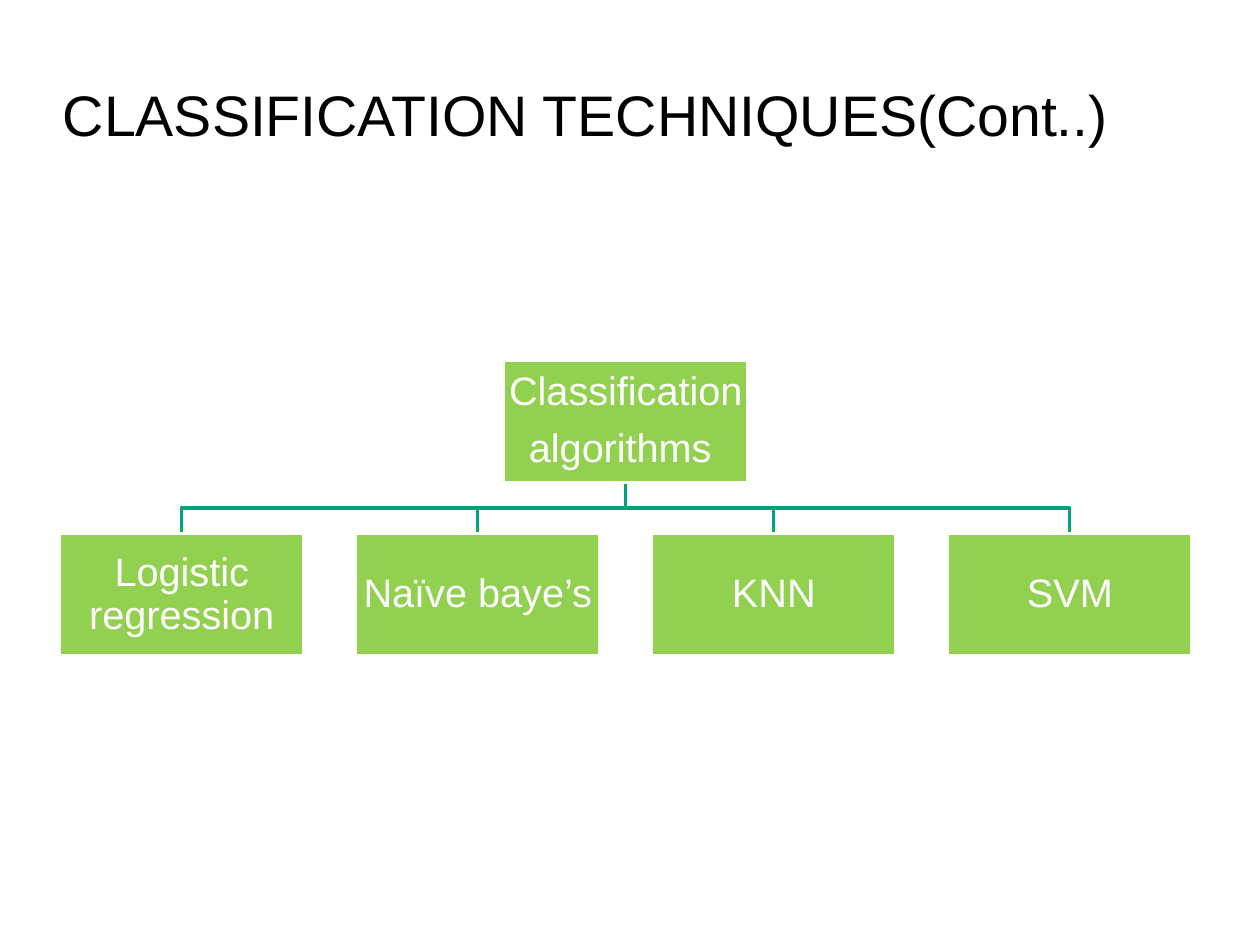
from pptx import Presentation
from pptx.dml.color import RGBColor as Rgb
from pptx.enum.shapes import MSO_SHAPE as Kind
from pptx.enum.text import MSO_ANCHOR as Anchor, PP_ALIGN as Align
from pptx.util import Cm, Inches, Pt

TITLE = "CLASSIFICATION TECHNIQUES(Cont..)"
ROOT = ["Classification", "algorithms "]
LEAVES = [["Logistic regression"], ["Naïve baye’s"], ["KNN"], ["SVM"]]
COLORS = {"title": "000000", "box": "92D050", "text": "FFFFFF", "link": "00A37B"}

WIDTH, HEIGHT = 2.14, 1.07
LEFT, STEP = 0.52, 2.59
ROOT_TOP, LEAF_TOP = 3.15, 4.67


def color(name):
    return Rgb.from_string(COLORS[name])


def write(par, text, size, name, spacing):
    par.line_spacing = spacing
    run = par.add_run()
    run.text = text
    run.font.name = "Arial"
    run.font.size = Pt(size)
    run.font.color.rgb = color(name)


def inset(frame, gap):
    frame.margin_left = frame.margin_right = Inches(gap)
    frame.margin_top = frame.margin_bottom = Inches(gap)
    frame.vertical_anchor = Anchor.MIDDLE
    frame.word_wrap = True


def add_link(shapes, start, end):
    top = ROOT_TOP + HEIGHT
    mid = (top + LEAF_TOP) / 2
    points = [(start, top), (start, mid), (end, mid), (end, LEAF_TOP)]
    points = [(Inches(x), Inches(y)) for x, y in points]
    pen = shapes.build_freeform(*points[0])
    pen.add_line_segments(points[1:], close=False)
    link = pen.convert_to_shape()
    link.shadow.inherit = False
    link.fill.background()
    link.line.color.rgb = color("link")
    link.line.width = Pt(2)


def add_box(shapes, left, top, lines):
    box = shapes.add_shape(Kind.RECTANGLE, Inches(left), Inches(top),
                           Inches(WIDTH), Inches(HEIGHT))
    box.shadow.inherit = False
    box.fill.solid()
    box.fill.fore_color.rgb = color("box")
    box.line.color.rgb = color("text")
    box.line.width = Pt(2)
    frame = box.text_frame
    inset(frame, 0.02)
    for i, line in enumerate(lines):
        par = frame.add_paragraph() if i else frame.paragraphs[0]
        par.alignment = Align.CENTER
        par.space_after = Pt(8.75)
        write(par, line, 25, "text", 0.9)


def main():
    deck = Presentation()
    deck.slide_width, deck.slide_height = Cm(28), Cm(21)
    slide = deck.slides.add_slide(deck.slide_layouts[5])
    shapes = slide.shapes

    title = shapes.title
    title.left, title.top = Inches(0.55), Inches(0.63)
    title.width, title.height = Inches(9.38), Inches(0.79)
    inset(title.text_frame, 0)
    par = title.text_frame.paragraphs[0]
    par.alignment = Align.LEFT
    write(par, TITLE, 36, "title", 0.94)

    lefts = [LEFT + i * STEP for i in range(len(LEAVES))]
    middle = (lefts[0] + lefts[-1]) / 2
    for left in lefts:
        add_link(shapes, middle + WIDTH / 2, left + WIDTH / 2)
    add_box(shapes, middle, ROOT_TOP, ROOT)
    for left, leaf in zip(lefts, LEAVES):
        add_box(shapes, left, LEAF_TOP, leaf)

    deck.save("out.pptx")


if __name__ == "__main__":
    main()
